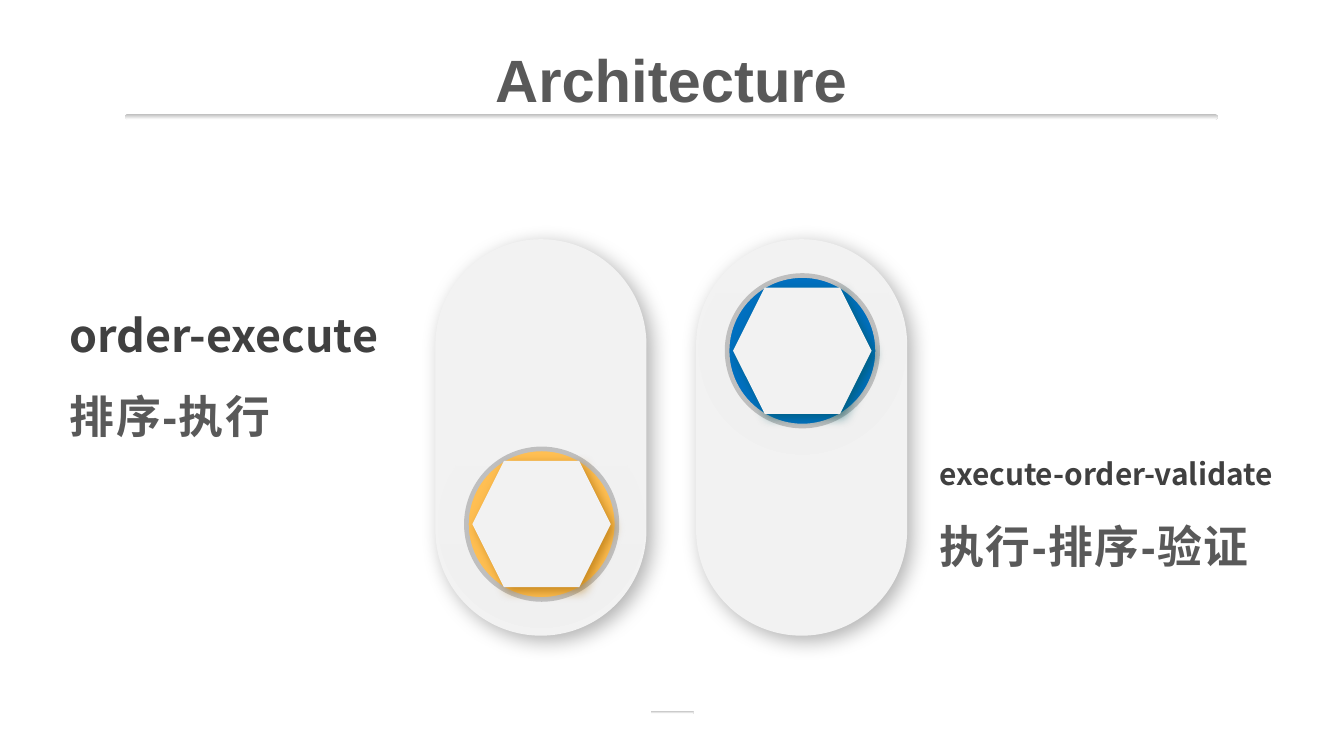
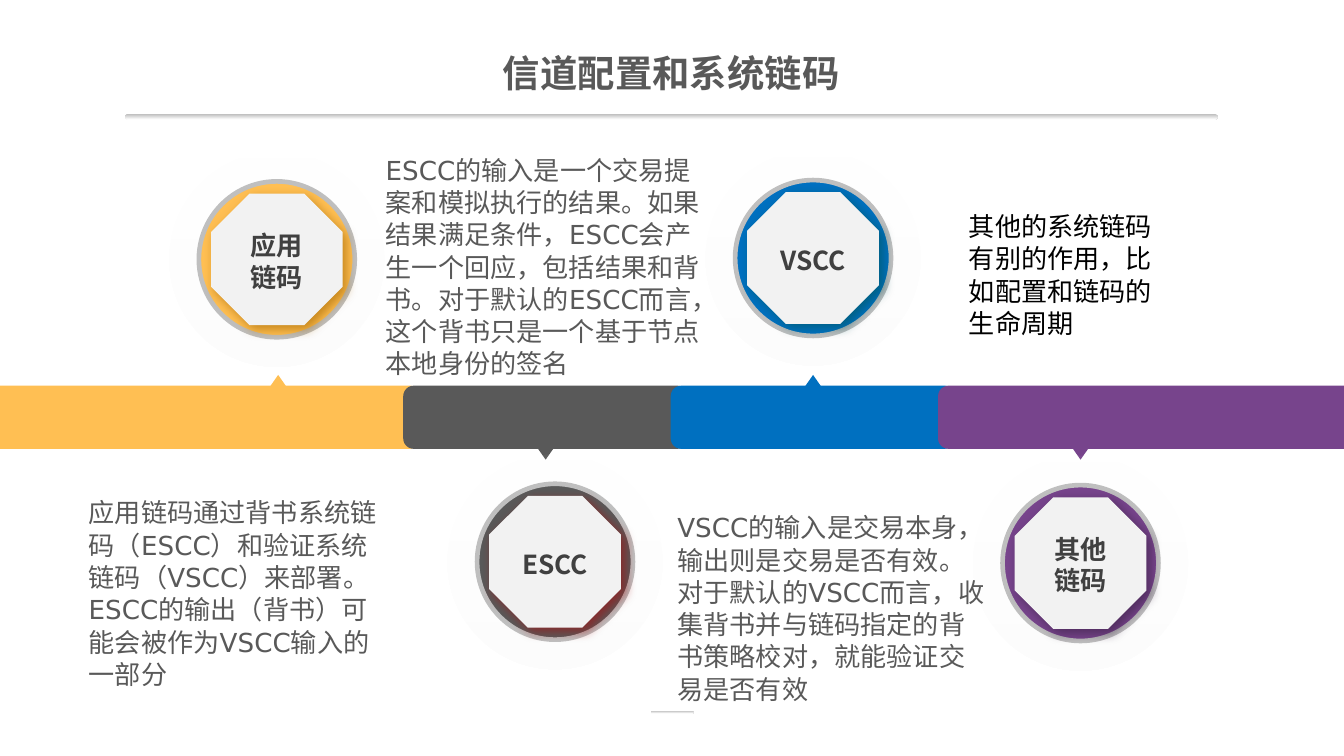
from dataclasses import dataclass
from lxml import etree
from pptx import Presentation
from pptx.dml.color import RGBColor
from pptx.enum.shapes import MSO_SHAPE
from pptx.enum.text import MSO_ANCHOR, MSO_AUTO_SIZE, PP_ALIGN
from pptx.oxml.ns import qn
from pptx.util import Inches, Pt

PILL = MSO_SHAPE.ROUNDED_RECTANGLE
OVAL = MSO_SHAPE.OVAL
HEX = MSO_SHAPE.HEXAGON
OCT = MSO_SHAPE.OCTAGON
PIN = MSO_SHAPE.ISOSCELES_TRIANGLE
TOP = MSO_ANCHOR.TOP
GROW = MSO_AUTO_SIZE.SHAPE_TO_FIT_TEXT
LEFT, MID = PP_ALIGN.LEFT, PP_ALIGN.CENTER


@dataclass(frozen=True)
class Theme:
    gold: str = "FFBF53"
    blue: str = "0070C0"
    plum: str = "77448C"
    gray: str = "595959"
    dark: str = "404040"
    black: str = "000000"
    pale: str = "F2F2F2"
    rim: str = "BFBFBF"
    white: str = "FFFFFF"
    head: str = "Arial"
    body: str = "DejaVu Sans"
    bold: str = "Noto Sans CJK SC"
    large: int = 32
    big: int = 24
    mid: int = 20
    sub: int = 16
    small: int = 14


T = Theme()
SHADE = {T.gold: "A96A00", T.blue: "005962", T.gray: "A21011", T.plum: "3C2246"}
COLS = 100
WIDE, HIGH = Inches(10), Inches(5.625)
UNIT = WIDE / COLS
SNUG = (0.7, 0.4)
ROOMY = (1.2, 0.6)
FLUSH = (0, 0)


def grid(*cells):
    return [round(cell * UNIT) for cell in cells]


def rgb(code):
    return RGBColor.from_string(code)


def add(shapes, kind, box, fill, adj=None):
    shape = shapes.add_shape(kind, *grid(*box))
    shape.shadow.inherit = False
    shape.line.fill.background()
    if isinstance(fill, tuple):
        shape.fill.gradient()
        shape.fill.gradient_angle = 270
        for stop, code, spot in zip(shape.fill.gradient_stops, fill, (0, 1)):
            stop.color.rgb = rgb(code)
            stop.position = spot
    else:
        shape.fill.solid()
        shape.fill.fore_color.rgb = rgb(fill)
    if adj is not None:
        shape.adjustments[0] = adj
    return shape


def cast(shape, code, alpha, blur, dist):
    fx = shape.element.spPr.find(qn("a:effectLst"))
    outer = etree.SubElement(
        fx, qn("a:outerShdw"), blurRad=str(Pt(blur)), dist=str(Pt(dist)),
        dir="2700000", algn="tl", rotWithShape="0")
    tint = etree.SubElement(outer, qn("a:srgbClr"), val=code)
    etree.SubElement(tint, qn("a:alpha"), val=str(alpha * 1000))


def fade(shape, alpha):
    for tint in shape.element.xpath(".//a:gs/a:srgbClr"):
        etree.SubElement(tint, qn("a:alpha"), val=str(alpha * 1000))


def style(run, size, face, code, bold=False, gap=0):
    run.font.color.rgb = rgb(code)
    for key, value in {"size": Pt(size), "name": face, "bold": bold}.items():
        setattr(run.font, key, value)
    props = run.font._element
    etree.SubElement(props, qn("a:ea"), typeface=T.body)
    if gap:
        props.set("spc", str(gap))


def write(shape, lines, inset=SNUG, align=LEFT, lead=1.0):
    frame = shape.text_frame
    side, edge = grid(*inset)
    look = {"word_wrap": True, "auto_size": GROW, "vertical_anchor": TOP,
            "margin_left": side, "margin_right": side,
            "margin_top": edge, "margin_bottom": edge}
    for key, value in look.items():
        setattr(frame, key, value)
    for i, (text, form) in enumerate(lines):
        para = frame.add_paragraph() if i else frame.paragraphs[0]
        para.alignment = align
        para.line_spacing = lead
        run = para.add_run()
        run.text = text
        style(run, **form)


def note(slide, box, lines, **look):
    write(slide.shapes.add_textbox(*grid(*box)), lines, **look)


def head(slide, text, size, top, high):
    title = slide.shapes.title
    title.left, title.top, title.width, title.height = grid(30.7, top, 38.5, high)
    form = {"size": size, "face": T.head, "code": T.gray, "bold": True}
    write(title, [(text, form)], align=MID)


def rules(deck, slide):
    tree = deck.slide_master.shapes.element
    for i, box in enumerate([(9.3, 8.5, 81.3, 0.4), (48.4, 52.9, 3.2, 0.2)]):
        rule = add(slide.shapes, PILL, box, (T.rim, T.white), 0.5)
        rule.element.xpath(".//p:cNvPr")[0].set("id", str(50 + i))
        tree.append(rule.element)


def medal(slide, x, y, code, kind, halo, disc, gem):
    group = slide.shapes.add_group_shape().shapes

    def place(form, wide, high, fill):
        return add(group, form, (x - wide / 2, y - high / 2, wide, high), fill)

    fade(place(OVAL, halo, halo, (T.white, T.rim)), 3)
    ring = place(OVAL, disc, disc, code)
    ring.line.color.rgb = rgb(T.rim)
    ring.line.width = Pt(2.5)
    cast(place(kind, *gem, T.pale), SHADE[code], 64, 6, 3)


def band(slide, left, right, x, code, down):
    group = slide.shapes.add_group_shape().shapes
    add(group, PILL, (left, 28.7, right - left, 4.7), code, 0.167)
    pin = add(group, PIN, (x - 0.7, 33.2 if down else 27.9, 1.4, 1), code)
    pin.rotation = 180 if down else 0


def build(slide):
    head(slide, "Architecture", T.large, 2.8, 6.1)
    for left, y, code in [(32.4, 39, T.gold), (51.8, 26.1, T.blue)]:
        slot = add(slide.shapes, PILL, (left, 17.8, 15.7, 29.5), T.pale, 0.5)
        cast(slot, T.black, 29, 11, 4)
        medal(slide, left + 7.9, y, code, HEX, 15.4, 11.2, (10.3, 9.4))
    cards = [
        ((4.5, 20.5, 27.3, 12.2), "order-execute", T.big, "排序-执行"),
        ((69.2, 32.2, 27.3, 10.1), "execute-order-validate", T.sub, "执行-排序-验证"),
    ]
    for box, name, size, text in cards:
        top = {"size": size, "face": T.bold, "code": T.dark, "bold": True}
        low = {"size": T.big, "face": T.head, "code": T.gray, "bold": True, "gap": 80}
        note(slide, box, [(name, top), (text, low)], lead=1.5)


def chain(slide):
    head(slide, "信道配置和系统链码", T.mid, 3.3, 4.1)
    step, lap = 19.9, 1.3
    parts = [
        (T.gold, "应用链码", 20.6, 19.3, 7.8, 6, (6.6, 36.9, 22.5, 14.1), T.gray,
         "应用链码通过背书系统链码（ESCC）和验证系统链码（VSCC）来部署。"
         "ESCC的输出（背书）可能会被作为VSCC输入的一部分"),
        (T.gray, "ESCC", 41.3, 41.8, 9.8, 3.6, (28.7, 11.4, 23.4, 16.5), T.gray,
         "ESCC的输入是一个交易提案和模拟执行的结果。如果结果满足条件，"
         "ESCC会产生一个回应，包括结果和背书。对于默认的ESCC而言，"
         "这个背书只是一个基于节点本地身份的签名"),
        (T.blue, "VSCC", 60.5, 19.2, 9.8, 3.6, (50.4, 38, 23, 14.1), T.gray,
         "VSCC的输入是交易本身，输出则是交易是否有效。对于默认的VSCC而言，"
         "收集背书并与链码指定的背书策略校对，就能验证交易是否有效"),
        (T.plum, "其他链码", 80.4, 41.9, 7.6, 6, (72.1, 15.6, 15.3, 9.4), T.black,
         "其他的系统链码有别的作用，比如配置和链码的生命周期"),
    ]
    last = len(parts) - 1
    for i, (code, name, x, y, wide, high, box, ink, text) in enumerate(parts):
        left = 30 + step * (i - 1) if i else -1.2
        right = 30 + step * i + lap if i < last else 101.2
        band(slide, left, right, 20.7 + step * i, code, i % 2)
        medal(slide, x, y, code, OCT, 16, 11.6, (9.8, 9.8))
        form = {"size": T.small, "face": T.bold, "code": T.dark, "bold": True}
        spot = (x - wide / 2, y + 0.2 - high / 2, wide, high)
        note(slide, spot, [(name, form)], inset=ROOMY, align=MID)
        form = {"size": T.small, "face": T.body, "code": ink}
        note(slide, box, [(text, form)], inset=FLUSH, lead=1.03)


def main():
    deck = Presentation()
    deck.slide_width, deck.slide_height = WIDE, HIGH
    plain = deck.slide_layouts[5]
    first, second = [deck.slides.add_slide(plain) for _ in range(2)]
    rules(deck, first)
    build(first)
    chain(second)
    deck.save("out.pptx")


if __name__ == "__main__":
    main()
